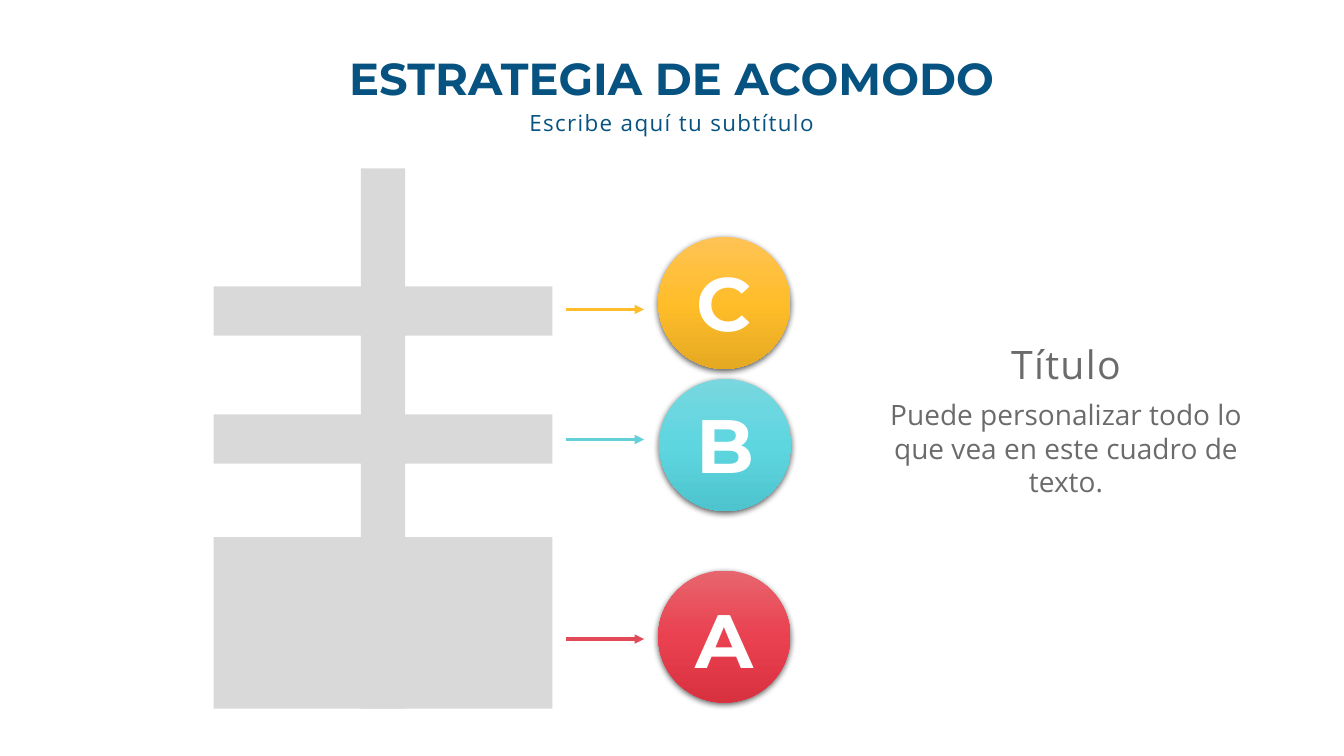
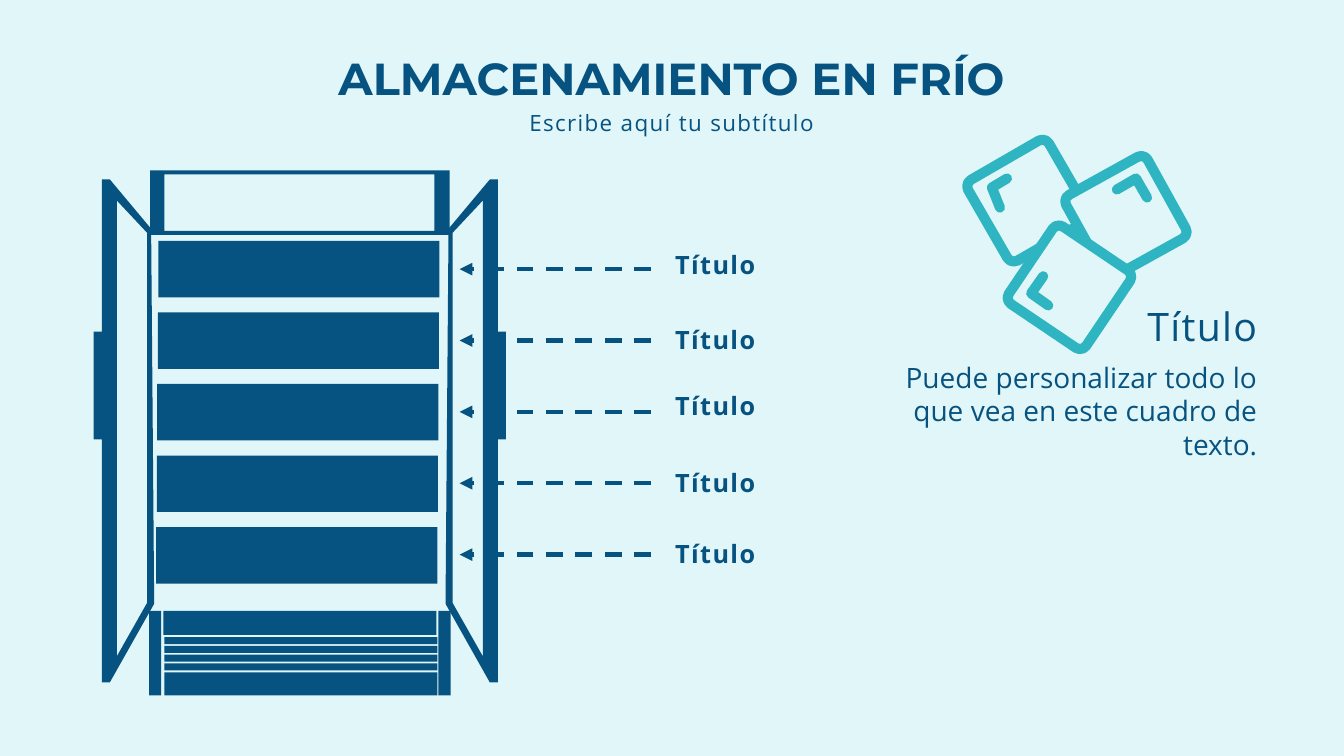
from pptx import Presentation
from pptx.dml.color import RGBColor
from pptx.enum.dml import MSO_LINE
from pptx.enum.shapes import MSO_CONNECTOR, MSO_SHAPE
from pptx.enum.text import MSO_ANCHOR, PP_ALIGN
from pptx.oxml import parse_xml
from pptx.oxml.ns import nsdecls, qn
from pptx.util import Inches, Pt

CELL = Inches(0.1)
WIDE, HIGH = 133.33, 75

NAVY = RGBColor(0x06, 0x52, 0x80)
GRAY = RGBColor(0x6B, 0x6B, 0x6B)
SILVER = RGBColor(0xD9, 0xD9, 0xD9)
WHITE = RGBColor(0xFF, 0xFF, 0xFF)
FROST = RGBColor(0xE0, 0xF6, 0xF8)
TEAL = RGBColor(0x2E, 0xB5, 0xC1)
GOLD = RGBColor(0xFF, 0xBD, 0x29)
AQUA = RGBColor(0x64, 0xD1, 0xDA)
ROSE = RGBColor(0xE2, 0x49, 0x56)
GOLDS = (RGBColor(0xFF, 0xC3, 0x55), GOLD, RGBColor(0xE5, 0xA9, 0x22))
AQUAS = (RGBColor(0x78, 0xD7, 0xDF), RGBColor(0x5E, 0xD6, 0xE0), RGBColor(0x4D, 0xC4, 0xCE))
ROSES = (RGBColor(0xE7, 0x65, 0x6E), RGBColor(0xEA, 0x41, 0x50), RGBColor(0xD8, 0x31, 0x3F))

BOLD_FACE, TEXT_FACE = "Montserrat", "Open Sans"
CENTER, RIGHT = PP_ALIGN.CENTER, PP_ALIGN.RIGHT
TOP, MIDDLE = MSO_ANCHOR.TOP, MSO_ANCHOR.MIDDLE
RECT, OVAL, ROUND = MSO_SHAPE.RECTANGLE, MSO_SHAPE.OVAL, MSO_SHAPE.ROUNDED_RECTANGLE
LINE = MSO_CONNECTOR.STRAIGHT
DASH = MSO_LINE.DASH


def cells(*values):
    return [round(value * CELL) for value in values]


def write(frame, text, size, color, face=TEXT_FACE, bold=False, align=CENTER, track=0):
    frame.word_wrap = True
    para = frame.paragraphs[0]
    para.text = text
    para.alignment = align
    font = para.font
    font.size, font.name, font.bold = Pt(size), face, bold
    font.color.rgb = color
    if track:
        para._p.pPr.find(qn("a:defRPr")).set("spc", str(track * 100))


def label(slide, box, text, size, color, anchor=MIDDLE, **style):
    frame = slide.shapes.add_textbox(*cells(*box)).text_frame
    frame.vertical_anchor = anchor
    write(frame, text, size, color, **style)
    return frame


def paint(shape, color):
    shape.shadow.inherit = False
    shape.fill.solid()
    shape.fill.fore_color.rgb = color
    shape.line.fill.background()


def block(slide, box, part, color):
    x, y, w, h = part
    shape = slide.shapes.add_shape(RECT, *cells(box[0] + x, box[1] + y, w, h))
    paint(shape, color)


def trace(slide, box, rings, close=True):
    rings = [[cells(box[0] + x, box[1] + y) for x, y in ring] for ring in rings]
    build = slide.shapes.build_freeform(*rings[0][0])
    for i, ring in enumerate(rings):
        if i:
            build.move_to(*ring[0])
        build.add_line_segments(ring[1:], close=close)
    return build.convert_to_shape()


def arrow(slide, start, end, y, color, width, dash=None):
    line = slide.shapes.add_connector(LINE, *cells(start, y, end, y))
    line.line.color.rgb = color
    line.line.width = Pt(width)
    if dash:
        line.line.dash_style = dash
    line.line._get_or_add_ln().append(
        parse_xml(f'<a:tailEnd {nsdecls("a")} type="triangle"/>'))
    line._element.spPr.append(parse_xml(f'<a:effectLst {nsdecls("a")}/>'))


def head(slide, title):
    frame = label(slide, (2.1, 5, 129.1, 7.2), title, 32, NAVY, anchor=TOP,
                  face=BOLD_FACE, bold=True)
    frame.margin_left = frame.margin_right = frame.margin_top = frame.margin_bottom = 0
    label(slide, (41.6, 10.3, 50.1, 3.7), "Escribe aquí tu subtítulo", 16, NAVY, track=1)


def note(slide, box, color, align):
    x, y, w, h = box
    label(slide, (x, y + 5.7, w, h - 5.7),
          "Puede personalizar todo lo que vea en este cuadro de texto.",
          20, color, align=align)
    label(slide, (x, y, w, 5.7), "Título", 28, color, align=align, track=1)


def rack(slide, box):
    w, h = box[2:]
    block(slide, box, (14.6, 0, 4.4, h), SILVER)
    for y, deep in ((11.7, 4.9), (24.4, 4.9), (36.6, 17)):
        block(slide, box, (0, y, w, deep), SILVER)


def disc(slide, box, text, hues, drop):
    shape = slide.shapes.add_shape(OVAL, *cells(*box))
    shape.line.fill.background()
    stops = "".join(f'<a:gs pos="{i * 50000}"><a:srgbClr val="{hue}"/></a:gs>'
                    for i, hue in enumerate(hues))
    props = shape._element.spPr
    props.insert(2, parse_xml(
        f'<a:gradFill {nsdecls("a")} rotWithShape="1"><a:gsLst>{stops}</a:gsLst>'
        '<a:lin ang="5400000" scaled="0"/></a:gradFill>'))
    props.append(parse_xml(
        f'<a:effectLst {nsdecls("a")}><a:outerShdw blurRad="57150" dist="19050" '
        'dir="5400000" algn="ctr" rotWithShape="0"><a:srgbClr val="000000">'
        '<a:alpha val="63000"/></a:srgbClr></a:outerShdw></a:effectLst>'))
    frame = shape.text_frame
    frame.vertical_anchor = TOP
    frame.margin_left = frame.margin_right = frame.margin_bottom = 0
    frame.margin_top = cells(drop)[0]
    write(frame, text, 54, WHITE, face=BOLD_FACE, bold=True)


def plan(slide):
    head(slide, "ESTRATEGIA DE ACOMODO")
    note(slide, (86.3, 33.2, 38.9, 16.8), GRAY, CENTER)
    rack(slide, (21.2, 16.7, 33.6, 53.6))
    levels = (("A", 65.3, 56.6, ROSES, 0.3, 63.4, ROSE),
              ("B", 65.4, 37.6, AQUAS, 0, 43.6, AQUA),
              ("C", 65.3, 23.5, GOLDS, 0, 30.7, GOLD))
    for text, x, y, hues, drop, level, color in levels:
        disc(slide, (x, y, 13.1, 13.1), text, hues, drop)
        arrow(slide, 56.2, 63.9, level, color, 2.25)


def door(slide, box, flip):
    outer = ((5.7, 5.8), (1.6, 0.9), (0.8, 0.9), (0.8, 16), (0, 16), (0, 26.7),
             (0.8, 26.7), (0.8, 50.8), (1.6, 50.8), (6, 43))
    inner = ((5.3, 42.9), (2.3, 48.2), (2.3, 3), (5.3, 6.2))
    rings = [[(box[2] - x if flip else x, y) for x, y in ring] for ring in (outer, inner)]
    paint(trace(slide, box, rings), NAVY)


def fridge(slide, box):
    for flip in (False, True):
        door(slide, box, flip)
    crown = [[(a, b), (a, d), (c, d), (c, b)]
             for a, b, c, d in ((5.6, 0, 35.3, 6.4), (7, 0.4, 33.8, 6))]
    paint(trace(slide, box, crown), NAVY)
    posts = [(x, 43.7, 1.2, 8.4) for x in (5.5, 34.2)]
    slats = [(7, 46.3 + 0.87 * i, 27.1, 0.7) for i in range(4)]
    shelves = [(6.4 - 0.05 * i, 7 + 7.1 * i, 27.9, 5.6) for i in range(5)]
    ends = [(6.9, 43.7, 27.1, 2.4), (7, 49.8, 27.1, 2.3)]
    for part in posts + slats + shelves + ends:
        block(slide, box, part, NAVY)


def stroke(shape):
    shape.shadow.inherit = False
    shape.line.color.rgb = TEAL
    shape.line.width = CELL
    ln = shape.line._get_or_add_ln()
    ln.set("cap", "rnd")
    ln.append(parse_xml(f'<a:round {nsdecls("a")}/>'))


def ice(slide, box):
    side = 9.25
    cubes = ((6.7, 6.7, -30, ((4.6, 4.5), (3.1, 5.4), (3.9, 7.4))),
             (16.4, 8.3, -29, ((15.5, 5.6), (17.4, 4.5), (18.5, 6.4))),
             (10.8, 15.3, 34, ((8.2, 14.2), (7, 15.9), (8.7, 17.1))))
    for x, y, turn, mark in cubes:
        cube = slide.shapes.add_shape(
            ROUND, *cells(box[0] + x - side / 2, box[1] + y - side / 2, side, side))
        cube.adjustments[0] = 0.08
        cube.rotation = turn
        paint(cube, FROST)
        stroke(cube)
        glint = trace(slide, box, [mark], close=False)
        glint.fill.background()
        stroke(glint)


def cold(slide):
    slide.background.fill.solid()
    slide.background.fill.fore_color.rgb = FROST
    head(slide, "ALMACENAMIENTO EN FRÍO")
    fridge(slide, (9.3, 16.9, 40.9, 52.1))
    ice(slide, (95.3, 13.2, 22.8, 22.1))
    note(slide, (86.8, 29.5, 38.9, 16.8), NAVY, RIGHT)
    for i, y in enumerate((24.2, 31.7, 38.2, 45.9, 52.9)):
        arrow(slide, 64.6, 45.6, 26.7 + 7.08 * i, NAVY, 3, DASH)
        label(slide, (60.5, y, 20.9, 4), "Título", 18, NAVY, bold=True, track=1)


def main():
    deck = Presentation()
    deck.slide_width, deck.slide_height = cells(WIDE, HIGH)
    for build in (plan, cold):
        build(deck.slides.add_slide(deck.slide_layouts[6]))
    deck.save("out.pptx")


if __name__ == "__main__":
    main()
